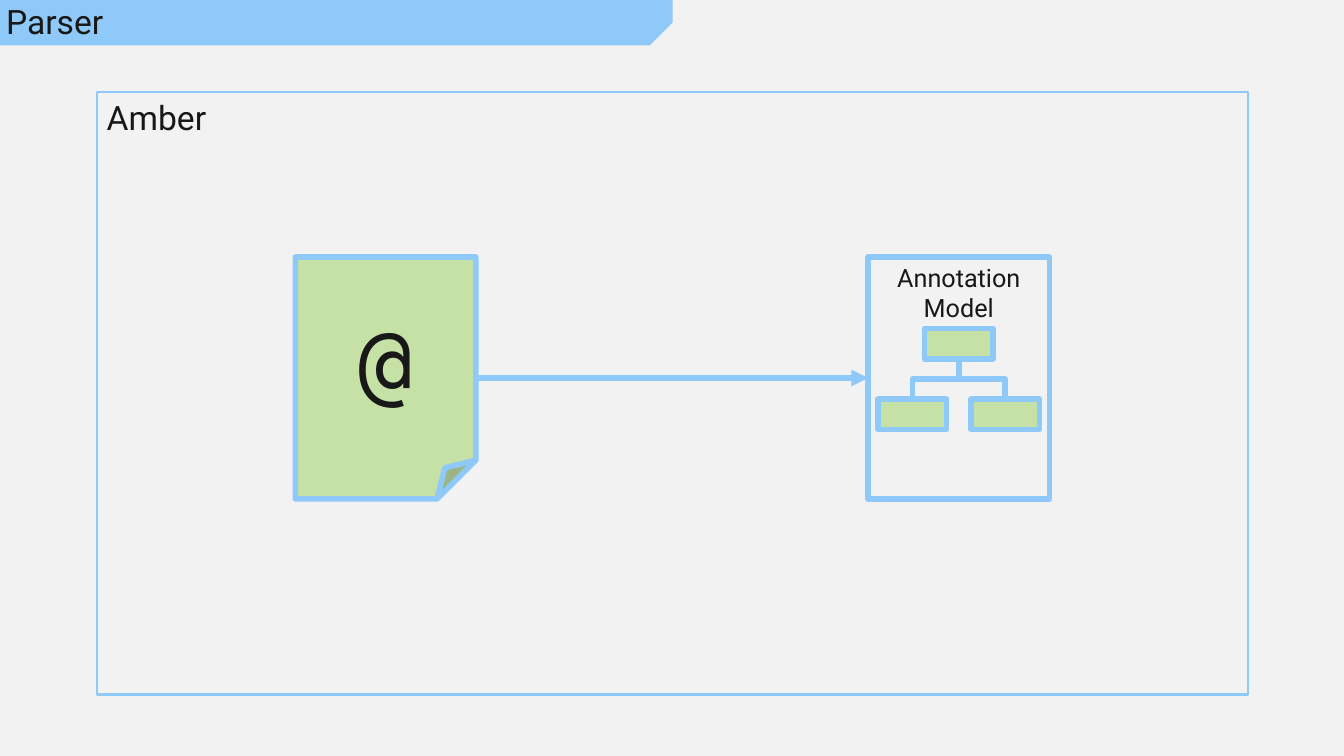
from pptx import Presentation
from pptx.dml.color import RGBColor
from pptx.enum.shapes import MSO_CONNECTOR, MSO_SHAPE
from pptx.enum.text import MSO_ANCHOR, PP_ALIGN
from pptx.oxml.ns import qn
from pptx.util import Inches, Pt
from lxml import etree

RECT, PAGE, SNIP = MSO_SHAPE.RECTANGLE, MSO_SHAPE.FOLDED_CORNER, MSO_SHAPE.SNIP_1_RECTANGLE
STRAIGHT, ELBOW = MSO_CONNECTOR.STRAIGHT, MSO_CONNECTOR.ELBOW
TOP, MIDDLE = MSO_ANCHOR.TOP, MSO_ANCHOR.MIDDLE
LEFT, CENTER = PP_ALIGN.LEFT, PP_ALIGN.CENTER

BLUE = RGBColor(0x8F, 0xC9, 0xF9)
GREEN = RGBColor(0xC5, 0xE1, 0xA5)
GREY = RGBColor(0xF2, 0xF2, 0xF2)
INK = RGBColor(0x18, 0x18, 0x18)
SANS, MONO = "Roboto", "DejaVu Sans Mono"
THICK = 4

TITLE = "Parser"
# left, top, width, height in inches
FRAME = (0.96, 0.91, 11.42, 5.98)
SOURCE_FILE = (2.93, 2.55, 1.79, 2.4)
MODEL = (8.61, 2.55, 1.8, 2.4)
BANNER_LENGTH, BANNER_HEIGHT = 6.67, 0.45
NODE_WIDTH, NODE_HEIGHT = 0.68, 0.3
ROOT = (9.17, 3.26)
CHILDREN = [(8.71, 3.96), (9.63, 3.96)]


def write(text_frame, text, size, font=SANS, align=LEFT, anchor=TOP):
    """Fill a text frame with one formatted paragraph."""
    text_frame.text = text
    text_frame.word_wrap = True
    text_frame.vertical_anchor = anchor
    paragraph = text_frame.paragraphs[0]
    paragraph.alignment = align
    run_font = paragraph.runs[0].font
    run_font.name, run_font.size = font, Pt(size)
    run_font.color.rgb = INK


def add_block(shapes, kind, box, fill, line_width=THICK):
    """Add a filled shape, outlined in blue unless line_width is 0."""
    block = shapes.add_shape(kind, *map(Inches, box))
    block.shadow.inherit = False
    block.fill.solid()
    block.fill.fore_color.rgb = fill
    if line_width:
        block.line.color.rgb = BLUE
        block.line.width = Pt(line_width)
    else:
        block.line.fill.background()
    return block


def add_link(shapes, kind, start, end):
    """Add a thick blue connector without shadow."""
    link = shapes.add_connector(kind, *map(Inches, start + end))
    link.line.color.rgb = BLUE
    link.line.width = Pt(THICK)
    etree.SubElement(link._element.spPr, qn("a:effectLst"))
    return link


def add_branch(shapes, parent, child):
    """Join a parent node's bottom to a child node's top, leaving vertically."""
    x1, y1 = parent[0] + NODE_WIDTH / 2, parent[1] + NODE_HEIGHT
    x2, y2 = child[0] + NODE_WIDTH / 2, child[1]
    drop, spread = y2 - y1, abs(x2 - x1)
    left, top = (x1 + x2 - drop) / 2, (y1 + y2 - spread) / 2
    right, bottom = left + drop, top + spread
    # An elbow runs sideways first, so it is turned a quarter
    if x2 < x1:
        start, end, turn = (left, top), (right, bottom), 90
    else:
        start, end, turn = (right, top), (left, bottom), 270
    branch = add_link(shapes, ELBOW, start, end)
    branch._element.spPr.find(qn("a:xfrm")).set("rot", str(turn * 60000))


prs = Presentation()
prs.slide_width, prs.slide_height = Inches(13.33), Inches(7.5)
slide = prs.slides.add_slide(prs.slide_layouts[5])
slide.background.fill.solid()
slide.background.fill.fore_color.rgb = GREY

# Title on its banner
banner_box = ((BANNER_LENGTH - BANNER_HEIGHT) / 2, (BANNER_HEIGHT - BANNER_LENGTH) / 2,
              BANNER_HEIGHT, BANNER_LENGTH)
banner = add_block(slide.shapes, SNIP, banner_box, BLUE, 0)
banner.rotation = 90
banner.adjustments[0] = 0.5
title = slide.shapes.title
title._element.addprevious(banner._element)
title.left, title.top = Inches(0.06), Inches(0.05)
title.width, title.height = Inches(BANNER_LENGTH), Inches(BANNER_HEIGHT)
frame = title.text_frame
frame.margin_left = frame.margin_right = frame.margin_top = frame.margin_bottom = 0
write(frame, TITLE, 24)
frame.paragraphs[0].line_spacing = 0.9

# Frame, source file and arrow to the model
amber = add_block(slide.shapes, RECT, FRAME, GREY, 1.5)
write(amber.text_frame, "Amber", 24)
source_file = add_block(slide.shapes, PAGE, SOURCE_FILE, GREEN)
# python-pptx lists no adjustment for the folded corner
fold = source_file._element.spPr.find(qn("a:prstGeom")).find(qn("a:avLst"))
etree.SubElement(fold, qn("a:gd"), name="adj", fmla="val 21500")
write(source_file.text_frame, "@", 64, MONO, CENTER, MIDDLE)
arrow_y = SOURCE_FILE[1] + SOURCE_FILE[3] / 2
arrow = add_link(slide.shapes, STRAIGHT,
                 (SOURCE_FILE[0] + SOURCE_FILE[2], arrow_y), (MODEL[0], arrow_y))
etree.SubElement(arrow.line._get_or_add_ln(), qn("a:tailEnd"), type="triangle")

# Annotation model with its tree
model_parts = slide.shapes.add_group_shape().shapes
model = add_block(model_parts, RECT, MODEL, GREY)
write(model.text_frame, "Annotation Model", 18, align=CENTER)
for node in [ROOT] + CHILDREN:
    add_block(model_parts, RECT, node + (NODE_WIDTH, NODE_HEIGHT), GREEN)
for child in CHILDREN:
    add_branch(model_parts, ROOT, child)

prs.save("out.pptx")
